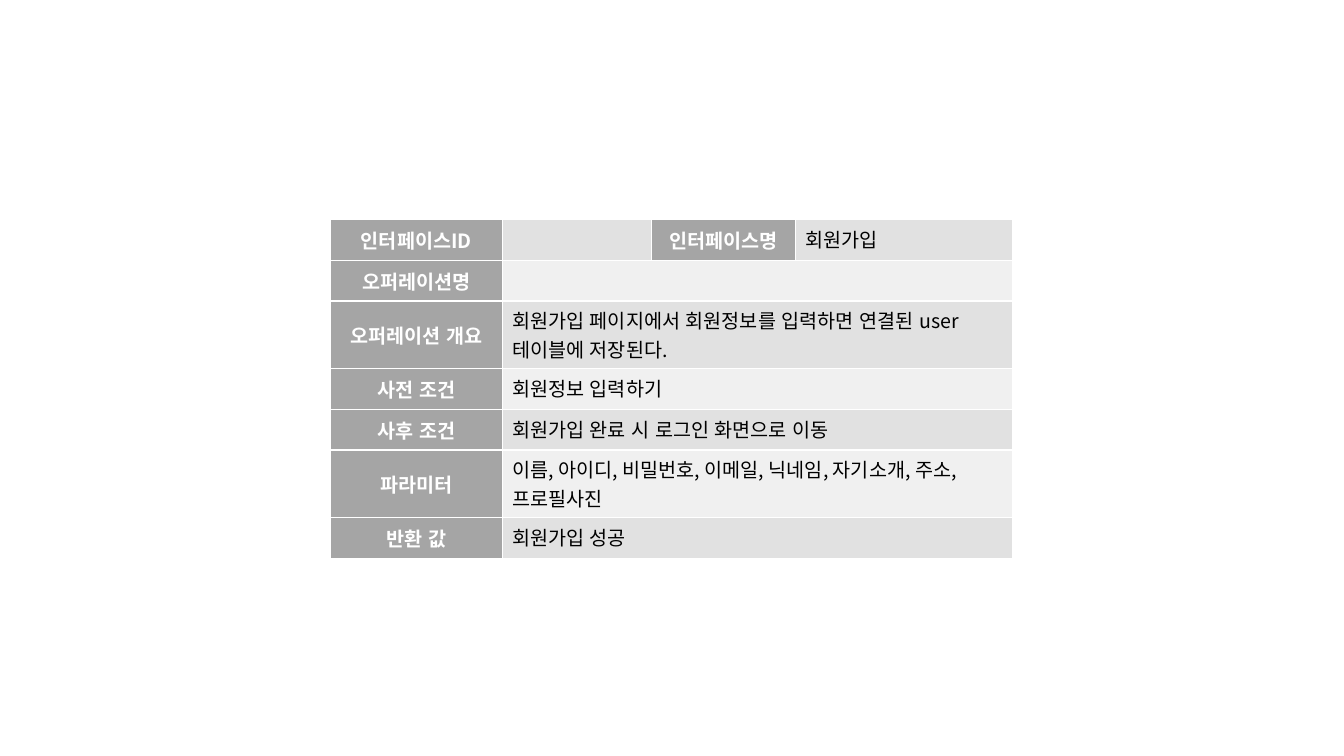
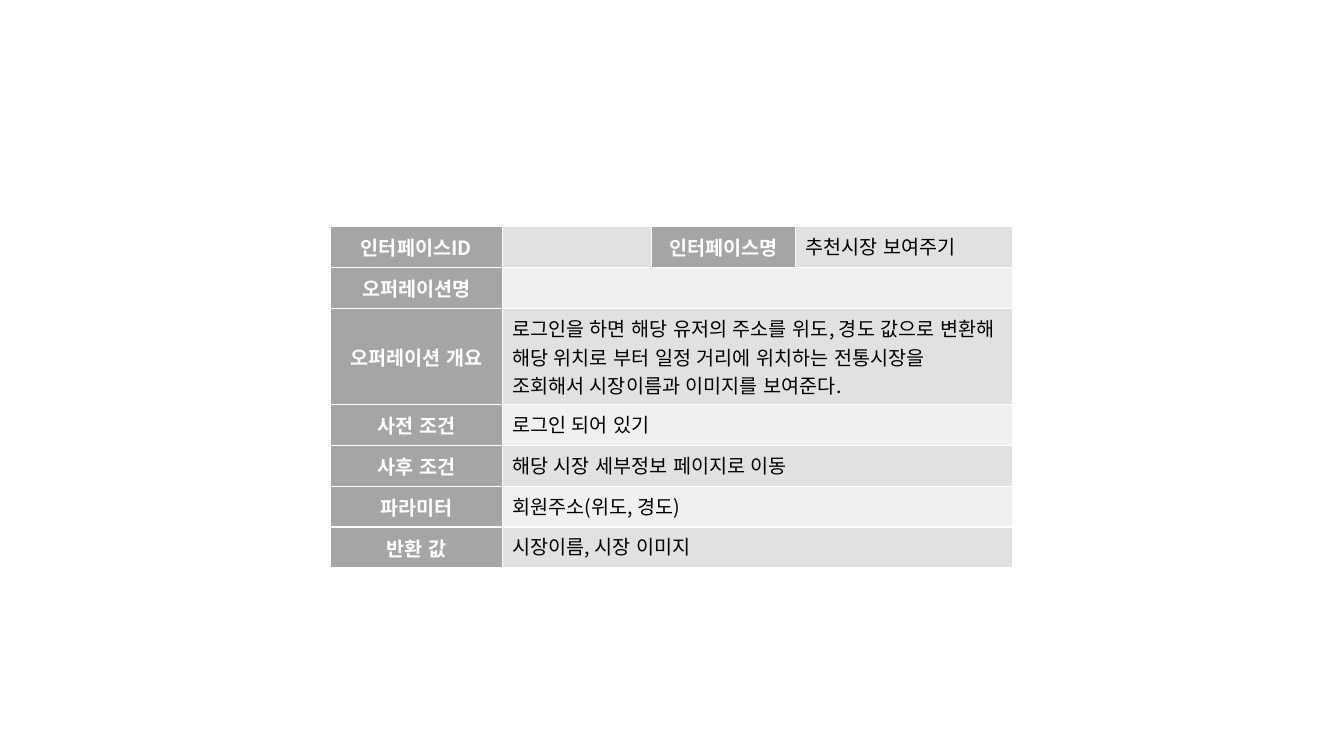
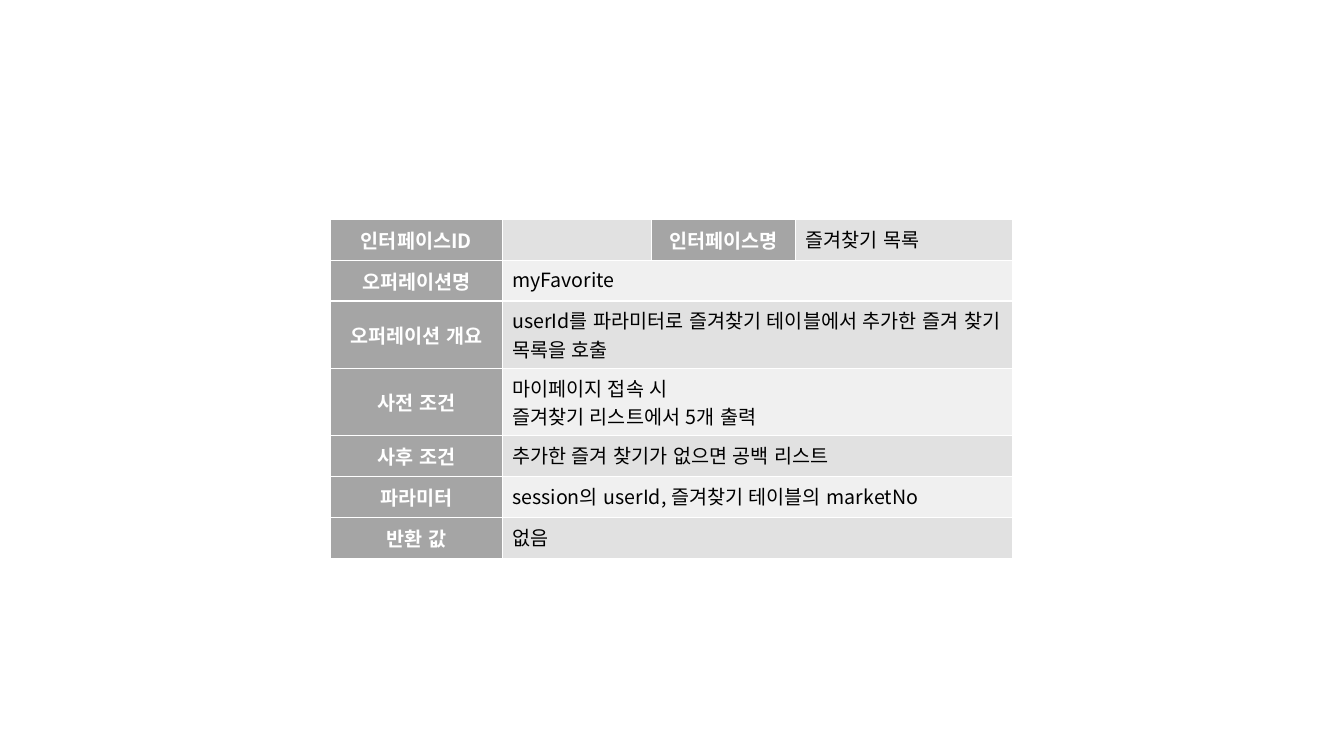
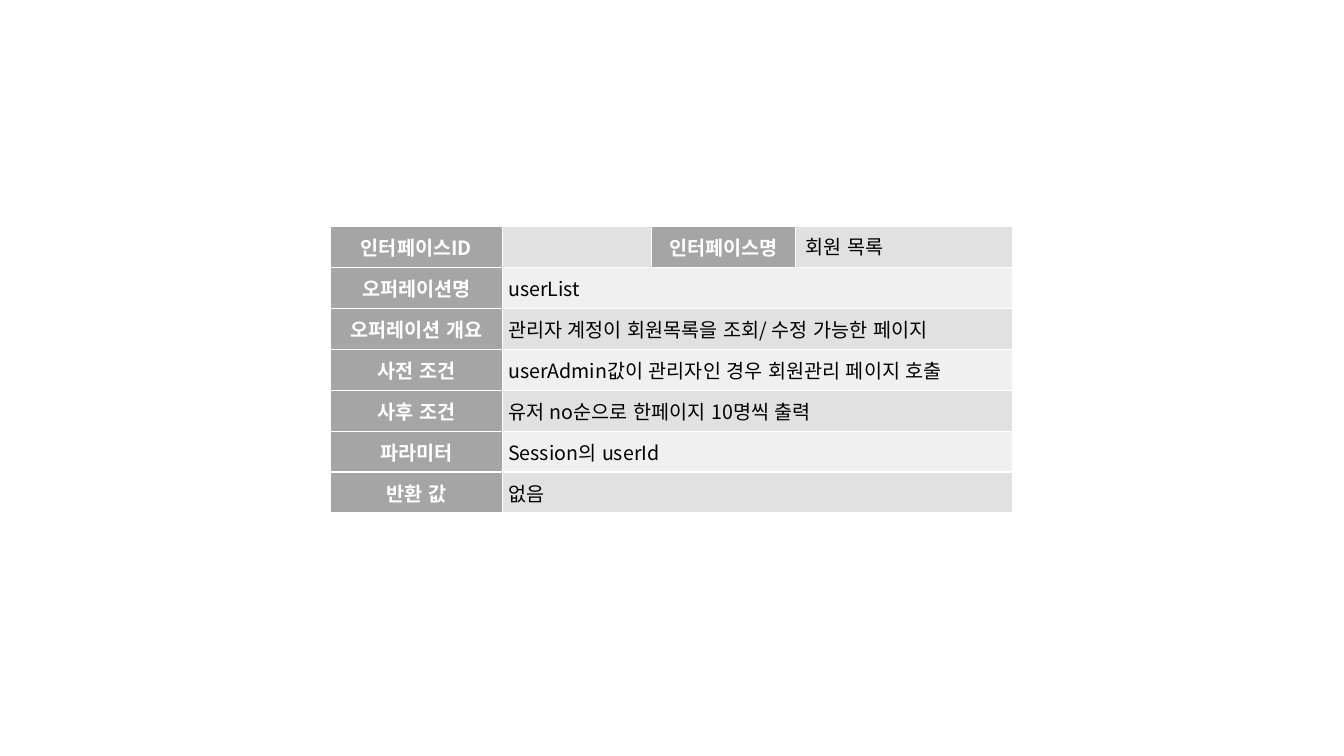
import pptx
import pptx.dml.color
import pptx.enum.lang
import pptx.enum.text
import pptx.oxml
import pptx.oxml.ns
import pptx.util
import lxml.etree

FONT = "Noto Sans CJK KR"
TEXT_SIZE = 14
LABEL_FILL = "A5A5A5"
BAND_FILLS = ["E1E1E1", "F0F0F0"]
WHITE, BLACK = "FFFFFF", "000000"

COLUMN_WIDTHS = [1.7, 1.48, 1.43, 2.15]
ROW_HEIGHT = 2.84 / 7
TABLE_LEFT = 3.28

LABELS = ["인터페이스ID", "오퍼레이션명", "오퍼레이션 개요", "사전 조건",
          "사후 조건", "파라미터", "반환 값"]
NAME_LABEL = "인터페이스명"

# Each page: share of the slide height above the table, whether the values are
# centred in tight margins, the interface name, and the values below it
PAGES = [
    (0.29, False, "회원가입", [
        "",
        "회원가입 페이지에서 회원정보를 입력하면 연결된 user 테이블에 저장된다.",
        "회원정보 입력하기",
        "회원가입 완료 시 로그인 화면으로 이동",
        "이름, 아이디, 비밀번호, 이메일, 닉네임, 자기소개, 주소, 프로필사진",
        "회원가입 성공"]),
    (0.3, False, "추천시장 보여주기", [
        "",
        "로그인을 하면 해당 유저의 주소를 위도, 경도 값으로 변환해 해당 위치로 부터 "
        "일정 거리에 위치하는 전통시장을 조회해서 시장이름과 이미지를 보여준다.",
        "로그인 되어 있기",
        "해당 시장 세부정보 페이지로 이동",
        "회원주소(위도, 경도)",
        "시장이름, 시장 이미지"]),
    (0.29, False, "즐겨찾기 목록", [
        "myFavorite",
        "userId를 파라미터로 즐겨찾기 테이블에서 추가한 즐겨 찾기 목록을 호출",
        "마이페이지 접속 시\n즐겨찾기 리스트에서 5개 출력",
        "추가한 즐겨 찾기가 없으면 공백 리스트",
        "session의 userId, 즐겨찾기 테이블의 marketNo",
        "없음"]),
    (0.3, True, "회원 목록", [
        "userList",
        "관리자 계정이 회원목록을 조회/ 수정 가능한 페이지",
        "userAdmin값이 관리자인 경우 회원관리 페이지 호출",
        "유저 no순으로 한페이지 10명씩 출력",
        "Session의 userId",
        "없음"]),
]


def color(hex_text):
    return pptx.dml.color.RGBColor.from_string(hex_text)


def write_cell(cell, text, fill, label=False, tight=False):
    """Fill a cell, draw its white borders and write its text."""
    cell.fill.solid()
    cell.fill.fore_color.rgb = color(fill)
    properties = cell._tc.get_or_add_tcPr()
    for place, side in enumerate("LRTB"):
        properties.insert(place, pptx.oxml.parse_xml(
            f'<a:ln{side} {pptx.oxml.ns.nsdecls("a")} w="12700"><a:solidFill>'
            f'<a:srgbClr val="{WHITE}"/></a:solidFill></a:ln{side}>'))
    if label or tight:
        cell.vertical_anchor = pptx.enum.text.MSO_ANCHOR.MIDDLE
    if tight:
        margin = pptx.util.Inches(0.06)
        cell.margin_left = cell.margin_right = margin
        cell.margin_top = cell.margin_bottom = margin

    para = cell.text_frame.paragraphs[0]
    if label:
        para.alignment = pptx.enum.text.PP_ALIGN.CENTER
    if not text:
        lxml.etree.SubElement(para._p, pptx.oxml.ns.qn("a:endParaRPr"),
                              sz=str(TEXT_SIZE * 100))
        return
    for number, line in enumerate(text.split("\n")):
        if number:
            para.add_line_break()
        span = para.add_run()
        span.text = line
        span.font.size = pptx.util.Pt(TEXT_SIZE)
        span.font.bold = label
        span.font.color.rgb = color(WHITE if label else BLACK)
        span.font.name = FONT
        span.font.language_id = pptx.enum.lang.MSO_LANGUAGE_ID.KOREAN
        lxml.etree.SubElement(span.font._element, pptx.oxml.ns.qn("a:ea"),
                              typeface=FONT)


deck = pptx.Presentation()
deck.slide_width = pptx.util.Inches(13.33)
deck.slide_height = pptx.util.Inches(7.5)
blank_layout = deck.slide_layouts[6]

for top_share, tight, interface_name, values in PAGES:
    page = deck.slides.add_slide(blank_layout)
    table = page.shapes.add_table(
        len(LABELS), len(COLUMN_WIDTHS),
        pptx.util.Inches(TABLE_LEFT), int(deck.slide_height * top_share),
        pptx.util.Inches(sum(COLUMN_WIDTHS)),
        pptx.util.Inches(ROW_HEIGHT * len(LABELS))).table
    table.first_row = table.horz_banding = False
    for column, width in zip(table.columns, COLUMN_WIDTHS):
        column.width = pptx.util.Inches(width)

    # Label column and banded values; the first value stays empty
    for row, (label, value) in enumerate(zip(LABELS, [""] + values)):
        band = BAND_FILLS[row % 2]
        write_cell(table.cell(row, 0), label, LABEL_FILL, label=True)
        if row:
            table.cell(row, 1).merge(table.cell(row, 3))
        write_cell(table.cell(row, 1), value, band, tight=tight and row > 0)

    # Interface name in the top row
    write_cell(table.cell(0, 2), NAME_LABEL, LABEL_FILL, label=True)
    write_cell(table.cell(0, 3), interface_name, BAND_FILLS[0])

deck.save("out.pptx")
